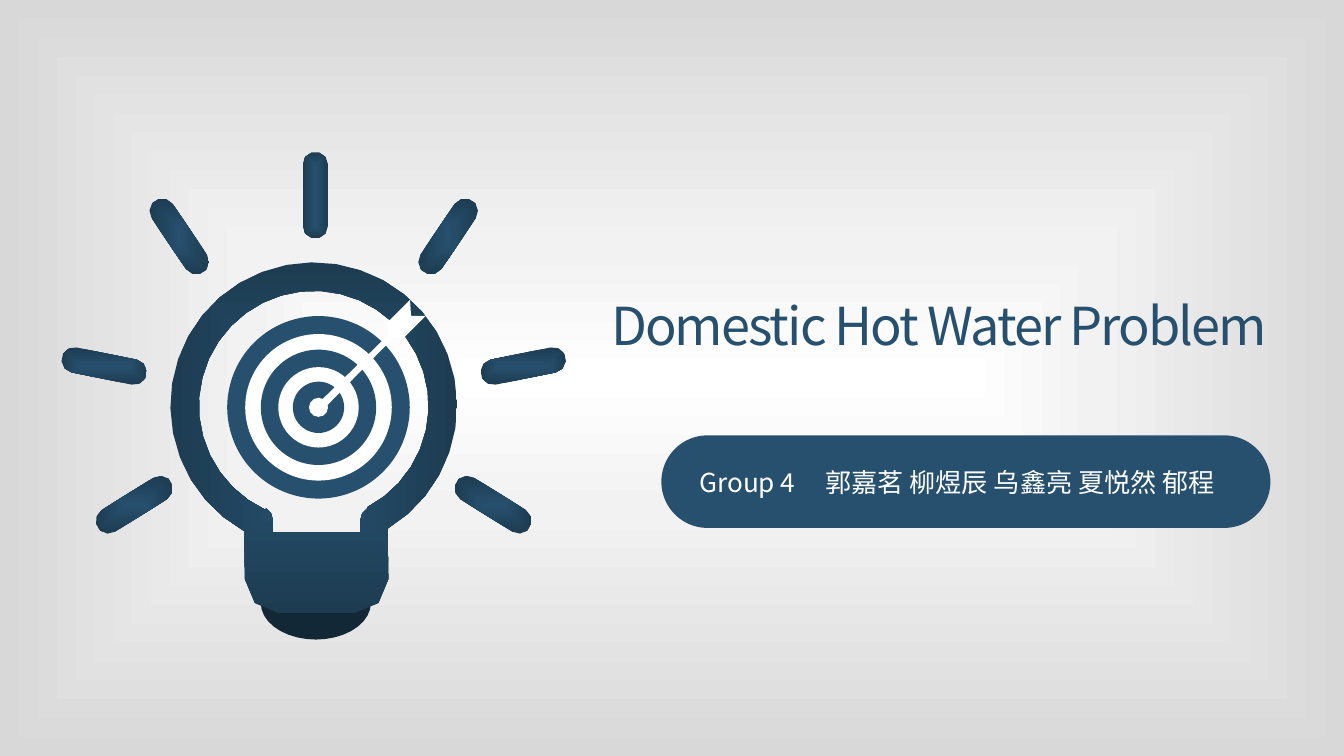
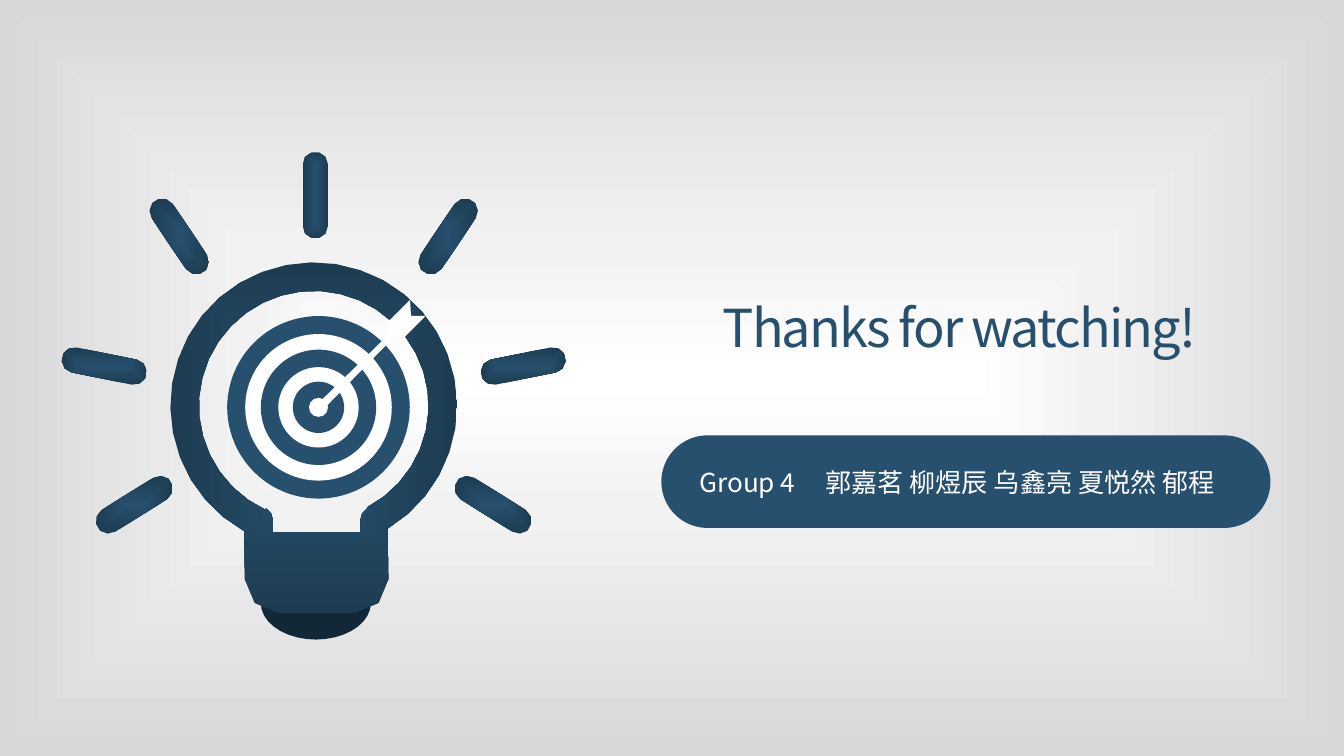
from dataclasses import dataclass
from math import cos, radians, sin
from typing import NamedTuple

from lxml.etree import SubElement
from pptx import Presentation
from pptx.dml.color import RGBColor
from pptx.enum.shapes import MSO_SHAPE
from pptx.enum.text import MSO_ANCHOR, MSO_AUTO_SIZE, PP_ALIGN
from pptx.oxml.ns import qn
from pptx.util import Cm, Pt


@dataclass(frozen=True)
class Theme:
    blue: str = "27506E"
    deep_blue: str = "1D3C52"
    darkest_blue: str = "132837"
    white: str = "FFFFFF"
    backdrop: tuple = ((0, "FFFFFF"), (35, "F2F2F2"), (100, "D8D8D8"))
    font: str = "Noto Sans CJK SC"
    title_size: int = 28
    team_size: int = 14
    title_spacing: int = -100  # hundredths of a point

    @property
    def bulb(self):
        return (0, self.blue), (100, self.deep_blue)


class Box(NamedTuple):
    """A region of the slide, in centimetres."""
    left: float
    top: float
    width: float
    height: float

    def lengths(self):
        return [Cm(value) for value in self]


THEME = Theme()
BULB_BOX = Box(1.12, 2.87, 9.58, 9.22)
TEAM_BOX = Box(12.5, 8.23, 11.51, 1.75)
TEAM = ("Group 4", "郭嘉茗 柳煜辰 乌鑫亮 夏悦然 郁程")
TITLES = (
    ("Domestic Hot Water Problem", Box(11.3, 5.41, 13.59, 1.45)),
    ("Thanks for watching!", Box(13.41, 5.46, 9.73, 1.45)),
)


# Fills and text style

def fill_solid(shape, color):
    shape.fill.solid()
    shape.fill.fore_color.rgb = RGBColor.from_string(color)
    shape.line.fill.background()
    shape.shadow.inherit = False


def fill_from_centre(fill, element, stops):
    """Turn the fill into a rectangular gradient that starts in the middle."""
    fill.gradient()
    gradient = element.find(".//" + qn("a:gradFill"))
    for child in list(gradient):
        gradient.remove(child)
    stop_list = SubElement(gradient, qn("a:gsLst"))
    for percent, color in stops:
        stop = SubElement(stop_list, qn("a:gs"), pos=str(percent * 1000))
        SubElement(stop, qn("a:srgbClr"), val=color)
    outline = SubElement(gradient, qn("a:path"), path="rect")
    SubElement(outline, qn("a:fillToRect"), dict.fromkeys("ltrb", "50000"))


def style_paragraph(paragraph, size, color):
    """Set the font for Latin and Chinese text and return its properties."""
    paragraph.alignment = PP_ALIGN.LEFT
    paragraph.font.size = Pt(size)
    paragraph.font.name = THEME.font
    paragraph.font.color.rgb = RGBColor.from_string(color)
    properties = paragraph.font._element
    SubElement(properties, qn("a:ea"), typeface=THEME.font)
    return properties


# Outlines

def arc(x, y, radius_x, radius_y, start, end):
    """Points of an arc; angles in degrees, clockwise from the right."""
    steps = round(abs(end - start) / (10 if radius_x > 1 else 36))
    angles = [radians(start + (end - start) * i / steps) for i in range(steps + 1)]
    return [(x + radius_x * cos(a), y + radius_y * sin(a)) for a in angles]


def add_outline(group, box, *contours):
    """Draw closed contours whose points are relative to the box."""
    contours = [[(Cm(x), Cm(y)) for x, y in points] for points in contours]
    builder = group.shapes.build_freeform(*contours[0][0])
    builder.add_line_segments(contours[0][1:])
    for points in contours[1:]:
        builder.move_to(*points[0])
        builder.add_line_segments(points[1:])
    shape = builder.convert_to_shape(Cm(box.left), Cm(box.top))
    fill_solid(shape, THEME.blue)
    return shape


# Light bulb

def add_ray(group, box, x, y, angle):
    radius, reach = 0.24, 0.58
    step_x, step_y = reach * cos(radians(angle)), reach * sin(radians(angle))
    points = (arc(x + step_x, y + step_y, radius, radius, angle - 90, angle + 90)
              + arc(x - step_x, y - step_y, radius, radius, angle + 90, angle + 270))
    ray = add_outline(group, box, points)
    fill_from_centre(ray.fill, ray._element, THEME.bulb)


def add_glass(group, box, x, y):
    left, right, corner, corner_y = 3.51, 6.22, 0.64, 8.08
    neck_left, neck_right, neck_y = 4.04, 5.69, 7.19
    shoulder, shoulder_y = 0.26, 6.97
    outside = (arc(x, y, 2.71, 2.71, 119, 419)
               + arc(right - corner, corner_y, corner, corner, 0, 90)
               + arc(left + corner, corner_y, corner, corner, 90, 180))
    inside = (arc(x, y, 2.17, 2.17, 115, 422)
              + arc(neck_right + shoulder, shoulder_y, shoulder, shoulder, 240, 180)
              + [(neck_right, neck_y), (neck_left, neck_y)]
              + arc(neck_left - shoulder, shoulder_y, shoulder, shoulder, 0, -60))
    glass = add_outline(group, box, outside, inside)
    fill_from_centre(glass.fill, glass._element, THEME.bulb)


def add_target(group, box, x, y):
    # Rings, from the outside in
    for index, diameter in enumerate((3.45, 2.77, 2.18, 1.52, 0.97, 0.36)):
        ring = Box(box.left + x - diameter / 2, box.top + y - diameter / 2,
                   diameter, diameter)
        shape = group.shapes.add_shape(MSO_SHAPE.OVAL, *ring.lengths())
        fill_solid(shape, THEME.white if index % 2 else THEME.blue)

    # Dart
    dart = [(1.4, -1.3), (1.6, -1.3), (2.03, -1.73), (1.75, -1.73), (1.73, -2.03),
            (1.3, -1.6), (1.32, -1.37), (0, -0.08), (0, 0.03), (0.1, 0.03)]
    shape = add_outline(group, box, [(x + dx, y + dy) for dx, dy in dart])
    fill_solid(shape, THEME.white)


def add_bulb(slide, box):
    group = slide.shapes.add_group_shape()
    x, y = 4.81, 4.8

    # Base
    base = add_outline(group, box, arc(4.85, 8.53, 1.04, 0.69, 0, 180))
    fill_solid(base, THEME.darkest_blue)

    # Rays: one on top, the others mirrored
    add_ray(group, box, x + 0.03, y - 3.98, -90)
    for dx, dy, angle in ((3.39, 1.87, 32), (3.96, -0.75, -11.5), (2.54, -3.2, -56)):
        for side in (1, -1):
            add_ray(group, box, x + side * dx, y + dy, side * angle)

    add_glass(group, box, x, y)
    add_target(group, box, 4.9, 4.83)


# Text

def add_title(slide, box, text):
    frame = slide.shapes.add_textbox(*box.lengths()).text_frame
    frame.word_wrap = False
    frame.auto_size = MSO_AUTO_SIZE.SHAPE_TO_FIT_TEXT
    paragraph = frame.paragraphs[0]
    paragraph.text = text
    properties = style_paragraph(paragraph, THEME.title_size, THEME.blue)
    properties.set("spc", str(THEME.title_spacing))


def add_team(slide, box):
    pill = slide.shapes.add_shape(MSO_SHAPE.ROUNDED_RECTANGLE, *box.lengths())
    pill.adjustments[0] = 0.5
    fill_solid(pill, THEME.blue)
    frame = pill.text_frame
    frame.word_wrap = True
    frame.vertical_anchor = MSO_ANCHOR.MIDDLE
    frame.margin_left = Cm(0.46)
    paragraph = frame.paragraphs[0]
    paragraph.text = "\t".join(TEAM)
    properties = style_paragraph(paragraph, THEME.team_size, THEME.white)

    # Tab stop where the names begin
    tabs = SubElement(properties.getparent(), qn("a:tabLst"))
    SubElement(tabs, qn("a:tab"), pos=str(Cm(2.38)), algn="l")
    properties.addprevious(tabs)


def add_banner_slide(presentation, title, title_box):
    slide = presentation.slides.add_slide(presentation.slide_layouts[6])
    fill_from_centre(slide.background.fill, slide._element, THEME.backdrop)
    add_bulb(slide, BULB_BOX)
    add_title(slide, title_box, title)
    add_team(slide, TEAM_BOX)


def main():
    presentation = Presentation()
    presentation.slide_width = Cm(25.4)
    presentation.slide_height = Cm(14.29)
    for title, title_box in TITLES:
        add_banner_slide(presentation, title, title_box)
    presentation.save("out.pptx")


if __name__ == "__main__":
    main()
